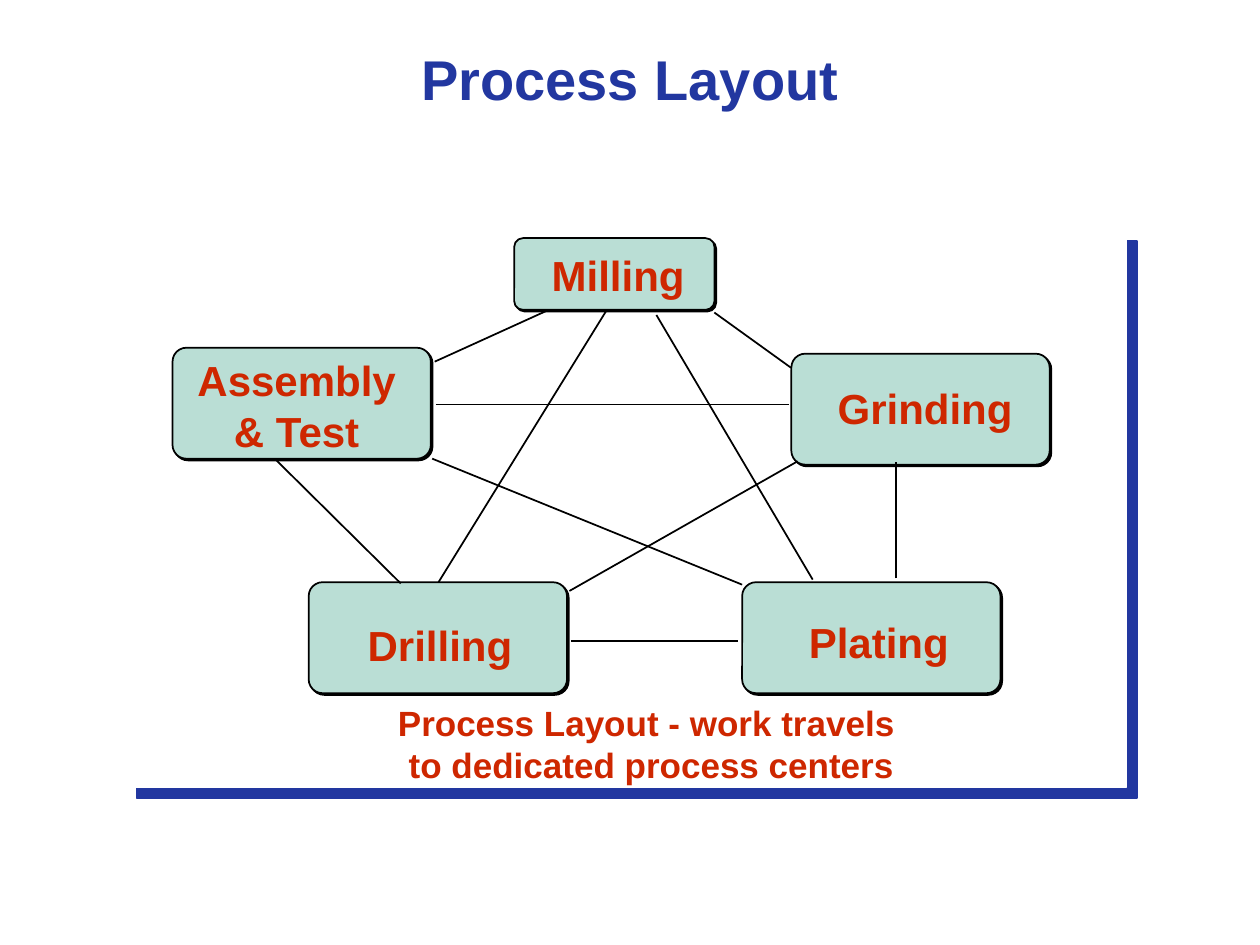
from lxml.etree import SubElement
from pptx import Presentation
from pptx.dml.color import RGBColor
from pptx.enum.shapes import MSO_CONNECTOR, MSO_SHAPE
from pptx.enum.text import MSO_ANCHOR, MSO_AUTO_SIZE, PP_ALIGN
from pptx.oxml.ns import qn
from pptx.util import Pt

BLUE, RED, GREEN, BLACK, WHITE = "2237A0", "CE2700", "BADED5", "000000", "FFFFFF"

# Station: left, top, width, height inside the panel; label: its box inside the station
STATIONS = [
    ("Assembly\v& Test", (26.6, 66.9, 147.6, 63.4), (4.9, 0.4, 132, 64.8)),
    ("Drilling", (104.4, 200.9, 147.6, 63.4), (26.6, 18, 101, 36)),
    ("Grinding", (380.2, 70.3, 147.6, 63.4), (19.4, 13, 118, 36)),
    ("Plating", (352.1, 200.9, 147.6, 63.4), (31, 15.8, 98, 36)),
    ("Milling", (221.8, 4.3, 114.5, 41), (14.4, 2.9, 94, 36)),
]

# Routes between stations: start x, y and end x, y inside the panel
ROUTES = [
    (178.6, 200.9, 274.3, 46.1),   # Drilling - Milling
    (176.4, 74.9, 239.8, 46.1),    # Assembly - Milling
    (177.1, 99.4, 378.7, 99.4),    # Assembly - Grinding
    (175, 130.3, 352.1, 202.3),    # Assembly - Plating
    (157, 201.6, 85, 130.3),       # Drilling - Assembly
    (254.2, 234.7, 349.9, 234.7),  # Drilling - Plating
    (439.9, 198.7, 439.9, 132.5),  # Plating - Grinding
    (253.4, 205.9, 383.8, 131.8),  # Drilling - Grinding
    (303.1, 48.2, 392.4, 199.4),   # Milling - Plating
    (336.2, 46.8, 380.2, 78.5),    # Milling - Grinding
]


def color(hex_value):
    return RGBColor.from_string(hex_value)


def format_text(frame, text, size, ink, align):
    frame.text = text
    paragraph = frame.paragraphs[0]
    paragraph.alignment = align
    font = paragraph.font
    font.name, font.size, font.bold = "Arial", Pt(size), True
    font.color.rgb = color(ink)


def add_block(shapes, kind, box, fill, line, shadow, distance):
    """A filled block with a hard shadow to its lower right."""
    block = shapes.add_shape(kind, *map(Pt, box))
    block.fill.solid()
    block.fill.fore_color.rgb = color(fill)
    block.line.color.rgb = color(line)
    block.line.width = Pt(1)
    block.shadow.inherit = False
    effects = block._element.spPr.find(qn("a:effectLst"))
    outer = SubElement(effects, qn("a:outerShdw"), blurRad="0", dist=str(Pt(distance)),
                       dir="2700000", algn="ctr", rotWithShape="0")
    SubElement(outer, qn("a:srgbClr"), val=shadow)
    return block


def add_label(shapes, text, box, size, align):
    label = shapes.add_textbox(*map(Pt, box))
    frame = label.text_frame
    frame.word_wrap = True
    frame.auto_size = MSO_AUTO_SIZE.SHAPE_TO_FIT_TEXT
    format_text(frame, text, size, RED, align)


def add_route(shapes, start_x, start_y, end_x, end_y):
    route = shapes.add_connector(MSO_CONNECTOR.STRAIGHT, Pt(start_x), Pt(start_y),
                                 Pt(end_x), Pt(end_y))
    route.line.color.rgb = color(BLACK)
    route.line.width = Pt(1)
    SubElement(route._element.spPr, qn("a:effectLst"))


def place_title(slide, left, top, width, height):
    title = slide.shapes.title
    title.left, title.top, title.width, title.height = map(Pt, (left, top, width, height))
    title.text_frame.vertical_anchor = MSO_ANCHOR.BOTTOM
    format_text(title.text_frame, "Process Layout", 32, BLUE, PP_ALIGN.CENTER)


def draw_process_layout(slide, left, top, width, height):
    shapes = slide.shapes.add_group_shape().shapes

    # Panel and caption
    add_block(shapes, MSO_SHAPE.RECTANGLE, (left, top, width, height), WHITE, WHITE, BLUE, 8.5)
    add_label(shapes, "Process Layout - work travels \vto dedicated process centers",
              (left - 59.8, top + 265.6, 720, 54.7), 20, PP_ALIGN.CENTER)

    # Stations
    for _, (x, y, w, h), _ in STATIONS:
        station = add_block(shapes, MSO_SHAPE.ROUNDED_RECTANGLE,
                            (left + x, top + y, w, h), GREEN, BLACK, BLACK, 1.4)
        station.adjustments[0] = 0.125

    # Station names
    for name, (x, y, _, _), (dx, dy, w, h) in STATIONS:
        align = PP_ALIGN.CENTER if "\v" in name else PP_ALIGN.LEFT
        add_label(shapes, name, (left + x + dx, top + y + dy, w, h), 24, align)

    # Routes
    for start_x, start_y, end_x, end_y in ROUTES:
        add_route(shapes, left + start_x, top + start_y, left + end_x, top + end_y)


def main():
    presentation = Presentation()
    presentation.slide_width, presentation.slide_height = Pt(720), Pt(540)
    slide = presentation.slides.add_slide(presentation.slide_layouts[5])
    place_title(slide, 0, 23.8, 720, 43.9)
    draw_process_layout(slide, 72, 131.8, 571.7, 318.2)
    presentation.save("out.pptx")


if __name__ == "__main__":
    main()
